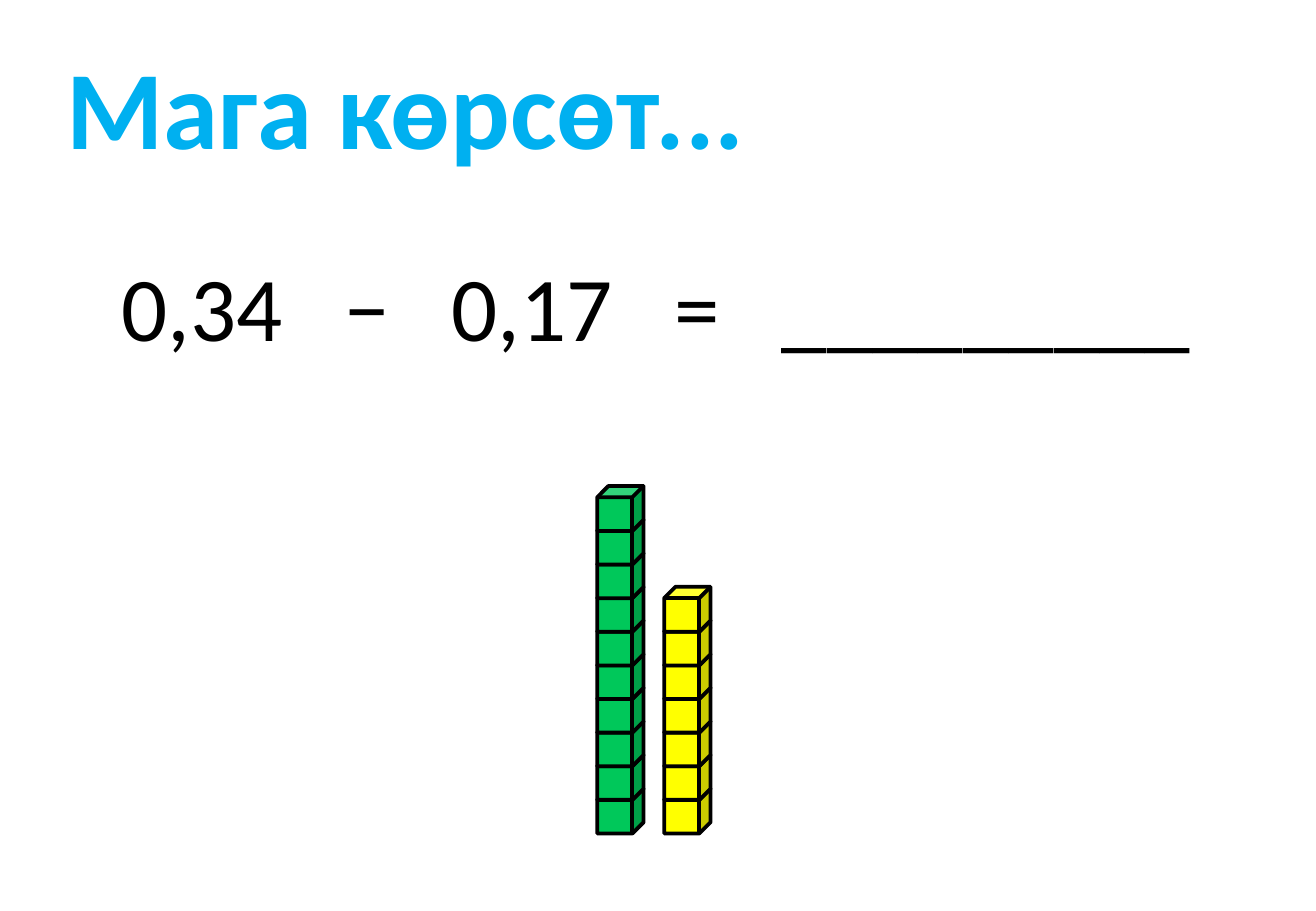
import pptx
import pptx.dml.color
import pptx.enum.shapes
import pptx.enum.text
import pptx.oxml.ns
import pptx.util
from lxml import etree
from pptx.util import Cm

COLORS = {"title": "00B0F0", "ink": "000000", "yellow": "FFFF00", "green": "00C85A"}


def rgb(name):
    return pptx.dml.color.RGBColor.from_string(COLORS[name])


class Worksheet:
    font = "Calibri"
    outline = pptx.util.Pt(2.25)

    def __init__(self, presentation):
        self.slide = presentation.slides.add_slide(presentation.slide_layouts[5])

    def add_text(self, frame, text, size, color, bold=False):
        """Fill a text frame with one left-aligned run."""
        frame.auto_size = pptx.enum.text.MSO_AUTO_SIZE.NONE
        frame.margin_top = frame.margin_bottom = Cm(0.13)
        paragraph = frame.paragraphs[0]
        paragraph.alignment = pptx.enum.text.PP_ALIGN.LEFT
        run = paragraph.add_run()
        run.text = text
        run.font.name = self.font
        run.font.size = pptx.util.Pt(size)
        run.font.bold = bold
        run.font.color.rgb = rgb(color)

    def title(self, text, left, top, width, height):
        heading = self.slide.shapes.title
        heading.left, heading.top = Cm(left), Cm(top)
        heading.width, heading.height = Cm(width), Cm(height)
        heading.text_frame.margin_left = Cm(0.78)
        self.add_text(heading.text_frame, text, 66, "title", bold=True)

    def equation(self, terms, tab_stops, left, top, width, height):
        """Put the terms on one line, each after the first at its tab stop."""
        box = self.slide.shapes.add_textbox(Cm(left), Cm(top), Cm(width), Cm(height))
        frame = box.text_frame
        frame.word_wrap = True
        frame.margin_left = Cm(0.33)
        frame.margin_right = 0
        properties = frame.paragraphs[0]._p.get_or_add_pPr()
        tabs = etree.SubElement(properties, pptx.oxml.ns.qn("a:tabLst"))
        for stop in tab_stops:
            etree.SubElement(tabs, pptx.oxml.ns.qn("a:tab"), pos=str(Cm(stop)), algn="l")
        self.add_text(frame, "\t".join(terms), 54, "ink")

    def tower(self, count, color, left, bottom_cube_top):
        """Stack cubes upwards in one group."""
        stack = self.slide.shapes.add_group_shape()
        for level in range(count):
            cube = stack.shapes.add_shape(
                pptx.enum.shapes.MSO_SHAPE.CUBE,
                Cm(left), Cm(bottom_cube_top - 0.703 * level), Cm(0.97), Cm(0.94))
            cube.shadow.inherit = False
            cube.fill.solid()
            cube.fill.fore_color.rgb = rgb(color)
            cube.line.color.rgb = rgb("ink")
            cube.line.width = self.outline


def main():
    presentation = pptx.Presentation()
    presentation.slide_width, presentation.slide_height = Cm(27.52), Cm(19.05)
    worksheet = Worksheet(presentation)
    worksheet.equation(["0,34", "−", "0,17", "=", "_" * 9],
                       [4.67, 6.91, 11.57, 13.81], 2.21, 5.11, 23.11, 2.57)
    worksheet.tower(7, "yellow", 13.89, 16.49)
    worksheet.tower(10, "green", 12.49, 16.49)
    worksheet.title("Мага көрсөт...", 0.61, 0.66, 19.15, 3.07)
    presentation.save("out.pptx")


if __name__ == "__main__":
    main()
